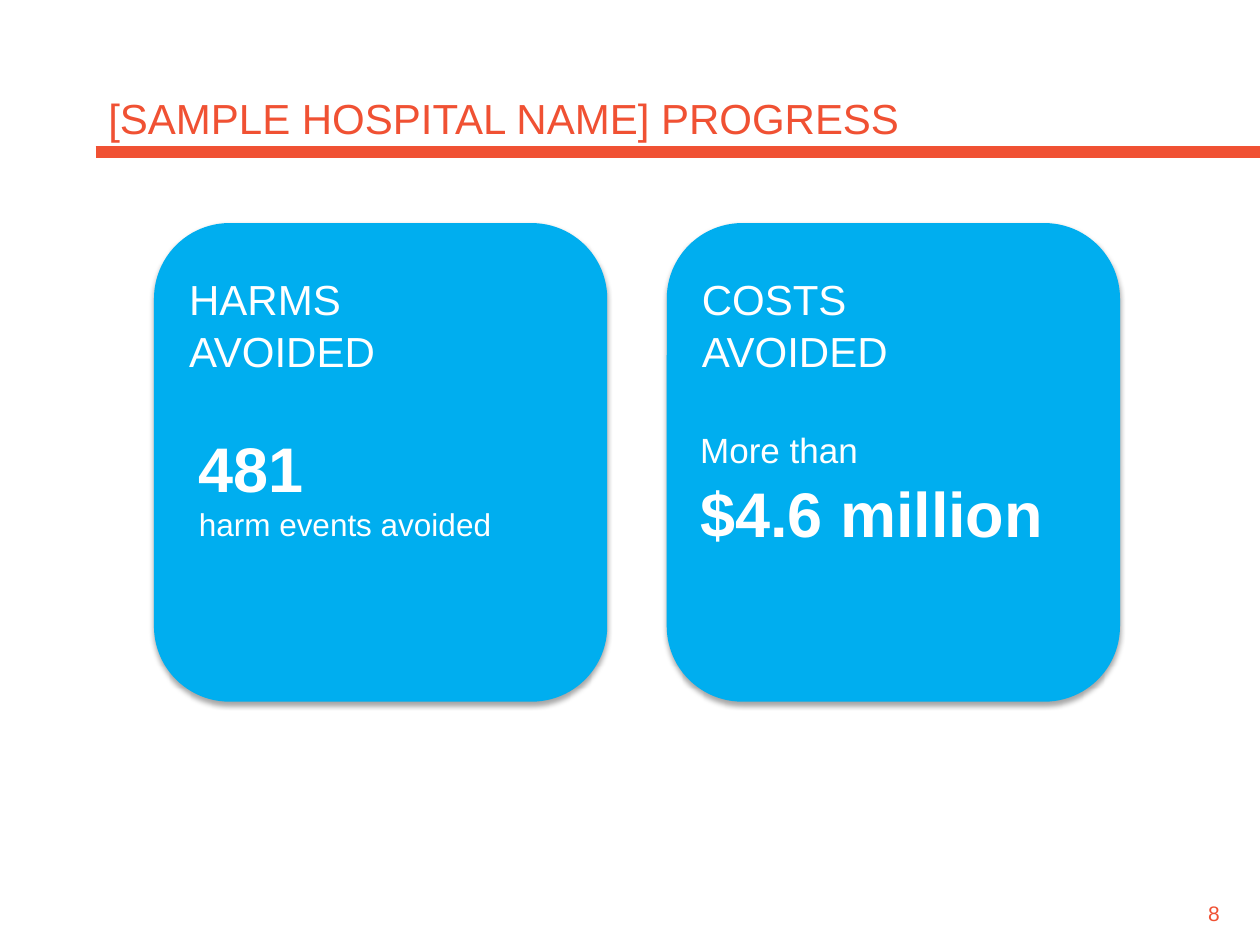
import pptx
import pptx.dml.color
import pptx.enum.shapes
import pptx.enum.text
import pptx.oxml
import pptx.util

Pt = pptx.util.Pt
ORANGE = pptx.dml.color.RGBColor(0xF0, 0x51, 0x33)
BLUE = pptx.dml.color.RGBColor(0x00, 0xAE, 0xEF)
WHITE = pptx.dml.color.RGBColor(0xFF, 0xFF, 0xFF)
FONT = "Arial"
NAMESPACE = "http://schemas.openxmlformats.org/drawingml/2006/main"
SHADOW = (
    f'<a:effectLst xmlns:a="{NAMESPACE}">'
    '<a:outerShdw blurRad="39370" dist="22860" dir="5400000" rotWithShape="0">'
    '<a:srgbClr val="000000"><a:alpha val="35000"/></a:srgbClr>'
    "</a:outerShdw></a:effectLst>"
)
CARD_TOP, CARD_WIDTH, CARD_HEIGHT = 127.5, 259, 273.5


def write_paragraph(paragraph, text, size=24, color=WHITE, bold=False, before=0):
    """Fill a paragraph with one formatted, left-aligned run."""
    paragraph.alignment = pptx.enum.text.PP_ALIGN.LEFT
    paragraph.space_before = Pt(before)
    run = paragraph.add_run()
    run.text = text
    run.font.name = FONT
    run.font.size = Pt(size)
    run.font.bold = bold
    run.font.color.rgb = color


def add_text(slide, left, top, width, height, lines):
    """Add a text box; each line is a text with its format."""
    shape = slide.shapes.add_textbox(Pt(left), Pt(top), Pt(width), Pt(height))
    frame = shape.text_frame
    frame.word_wrap = True
    for index, (text, line_format) in enumerate(lines):
        paragraph = frame.add_paragraph() if index else frame.paragraphs[0]
        write_paragraph(paragraph, text, **line_format)


def add_title(slide, text):
    """Place and format the title placeholder."""
    title = slide.shapes.title
    title.left, title.top = Pt(54.7), Pt(47.5)
    title.width, title.height = Pt(629.3), Pt(39.6)
    title.text_frame.vertical_anchor = pptx.enum.text.MSO_ANCHOR.MIDDLE
    write_paragraph(title.text_frame.paragraphs[0], text, color=ORANGE)


def add_rule(slide):
    """Draw the thick line below the title."""
    rule = slide.shapes.add_connector(
        pptx.enum.shapes.MSO_CONNECTOR.STRAIGHT, Pt(54.7), Pt(87), Pt(720), Pt(87)
    )
    rule.line.color.rgb = ORANGE
    rule.line.width = Pt(7)
    rule._element.spPr.append(
        pptx.oxml.parse_xml(f'<a:effectLst xmlns:a="{NAMESPACE}"/>')
    )


def add_card(slide, left, heading, figure_left, figure_top, figure):
    """Add a rounded card with a two-line heading and a key figure."""
    card = slide.shapes.add_shape(
        pptx.enum.shapes.MSO_SHAPE.ROUNDED_RECTANGLE,
        Pt(left), Pt(CARD_TOP), Pt(CARD_WIDTH), Pt(CARD_HEIGHT),
    )
    card.fill.solid()
    card.fill.fore_color.rgb = BLUE
    card.line.fill.background()
    card._element.spPr.append(pptx.oxml.parse_xml(SHADOW))
    heading_lines = [(word, {"before": index}) for index, word in enumerate(heading)]
    add_text(slide, left + 13, CARD_TOP + 25, 174, 65.5, heading_lines)
    add_text(slide, figure_left, figure_top, 223, 72, figure)


def main():
    """Build and save the progress slide."""
    presentation = pptx.Presentation()
    presentation.slide_width, presentation.slide_height = Pt(720), Pt(540)
    slide = presentation.slides.add_slide(presentation.slide_layouts[5])
    add_rule(slide)
    add_text(slide, 683.3, 511.2, 36.7, 21.6, [("8", {"size": 12, "color": ORANGE})])
    add_title(slide, "[SAMPLE HOSPITAL NAME] PROGRESS")
    add_card(slide, 88, ("HARMS", "AVOIDED"), 106.5, 242, [
        ("481", {"size": 36, "bold": True}),
        ("harm events avoided", {"size": 18}),
    ])
    add_card(slide, 381, ("COSTS", "AVOIDED"), 393, 241.5, [
        ("More than", {"size": 20}),
        ("$4.6 million", {"size": 36, "bold": True, "before": 2}),
    ])
    presentation.save("out.pptx")


main()
